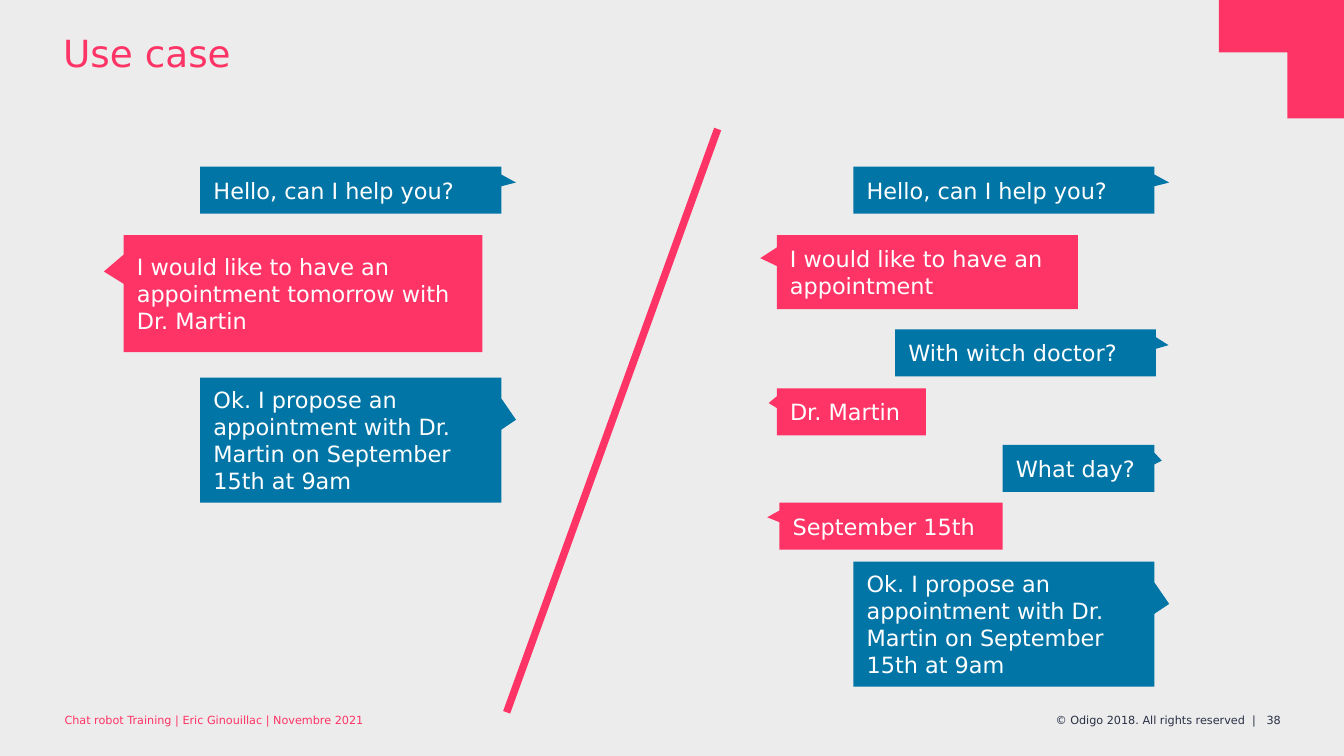
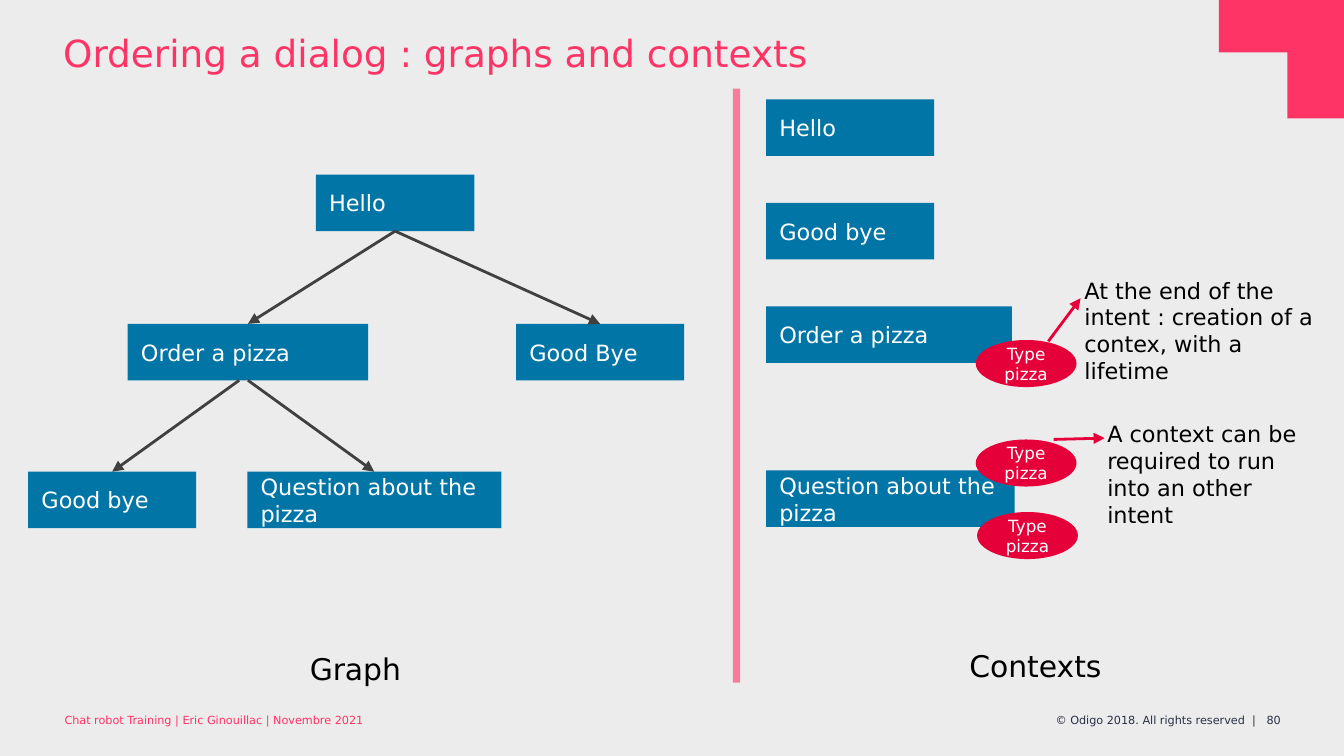
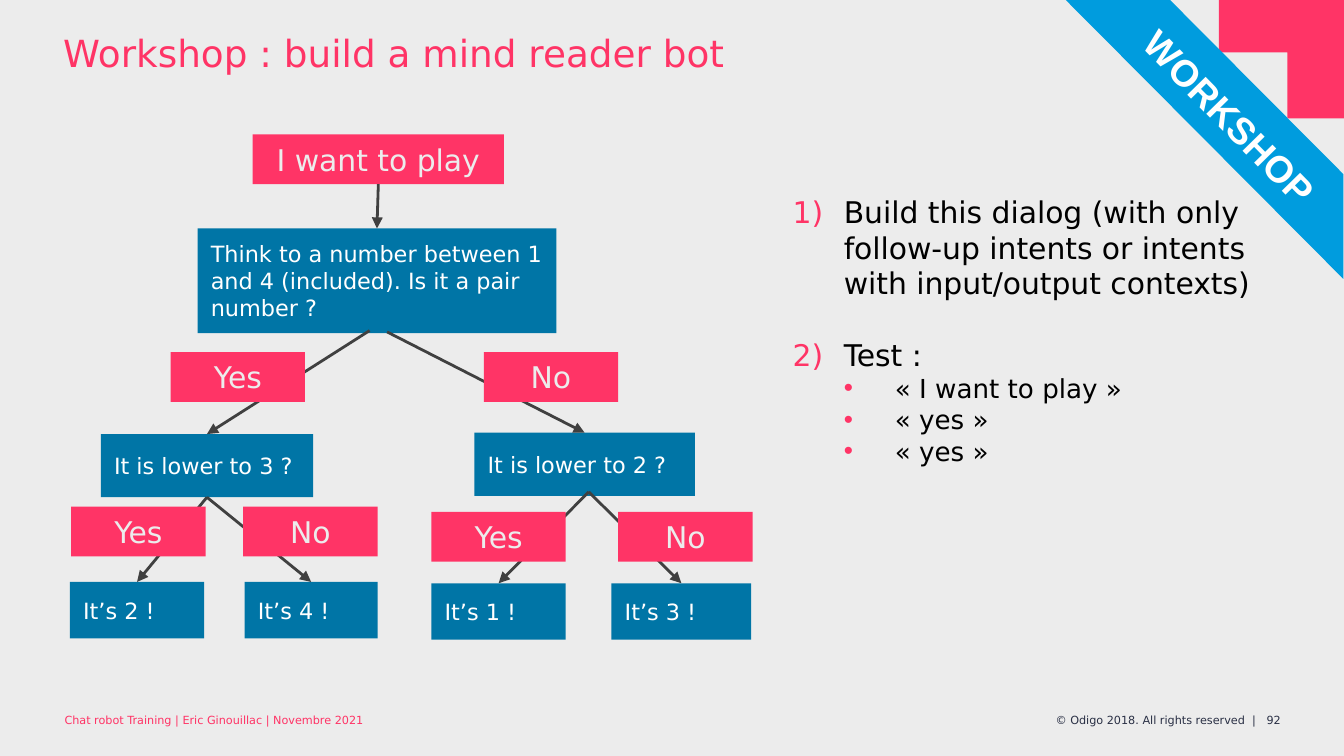
from lxml import etree
from pptx import Presentation
from pptx.dml.color import RGBColor
from pptx.enum.shapes import MSO_CONNECTOR, MSO_SHAPE
from pptx.enum.text import MSO_ANCHOR, MSO_AUTO_SIZE, PP_ALIGN
from pptx.oxml.ns import qn
from pptx.util import Inches, Pt

RECTANGLE = MSO_SHAPE.RECTANGLE
ELLIPSE = MSO_SHAPE.OVAL
CALLOUT = MSO_SHAPE.RECTANGULAR_CALLOUT
STRIPE = MSO_SHAPE.DIAGONAL_STRIPE
STRAIGHT = MSO_CONNECTOR.STRAIGHT
LEFT, CENTER, RIGHT = PP_ALIGN.LEFT, PP_ALIGN.CENTER, PP_ALIGN.RIGHT
TOP, MIDDLE, BOTTOM = MSO_ANCHOR.TOP, MSO_ANCHOR.MIDDLE, MSO_ANCHOR.BOTTOM
GROW, FIXED = MSO_AUTO_SIZE.SHAPE_TO_FIT_TEXT, MSO_AUTO_SIZE.NONE
TOP_SITE, BOTTOM_SITE = 0, 2

PINK, BLUE, RED, SKY = "FF3466", "0075A6", "E60039", "009CDE"
GREY, WHITE, BLACK, DARK, NAVY = "ECECEC", "FFFFFF", "000000", "404040", "2A3045"
FONT = "DejaVu Sans"
COLUMNS = 100
INSETS = (1, 0.5, 1, 0.5)
SPEAKERS = {"bot": (BLUE, 0.549, -0.162), "user": (PINK, -0.555, -0.189)}
CORNER = [(90.7, 0), (90.7, 3.9), (95.8, 3.9), (95.8, 8.8), (100, 8.8), (100, 0)]


def rgb(color):
    return RGBColor.from_string(color)


def add_element(parent, tag, **attributes):
    return etree.SubElement(parent, qn(tag), attributes)


class Deck:
    def __init__(self):
        self.presentation = Presentation()
        self.presentation.slide_width = Inches(10)
        self.presentation.slide_height = Inches(10) * 9 // 16
        self.cell = self.presentation.slide_width // COLUMNS
        self.slide = None

    def grid(self, *lengths):
        return [round(length * self.cell) for length in lengths]

    def new_slide(self, title, number):
        self.slide = self.presentation.slides.add_slide(self.presentation.slide_layouts[6])
        fill = self.slide.background.fill
        fill.solid()
        fill.fore_color.rgb = rgb(GREY)
        self.text("Chat robot Training | Eric Ginouillac | Novembre 2021", (0.1, 51.7, 37.9, 4.4),
                  6, PINK, anchor=BOTTOM, insets=(4.7, 0, 0, 2))
        rights = self.text("", (76.3, 51.7, 23.7, 4.4), 6, NAVY, anchor=BOTTOM, insets=(0, 0, 4.7, 2))
        paragraph = rights.text_frame.paragraphs[0]
        tabs = add_element(paragraph._p.get_or_add_pPr(), "a:tabLst")
        add_element(tabs, "a:tab", pos=str(Inches(1.57)), algn="l")
        paragraph.alignment = RIGHT
        self.run(paragraph, f"© Odigo 2018. All rights reserved  |\t{number}", 6, NAVY)
        self.corner()
        heading = self.text(title, (0, 0.6, 76.3, 8.8), 20, PINK, insets=(4.7, 2, 0.4, 0))
        heading.text_frame.paragraphs[0].line_spacing = 0.9

    def corner(self):
        points = [self.grid(*point) for point in CORNER]
        builder = self.slide.shapes.build_freeform(*points[0], scale=1.0)
        builder.add_line_segments(points[1:], close=True)
        self.paint(builder.convert_to_shape(), PINK)

    def paint(self, shape, color):
        shape.shadow.inherit = False
        shape.fill.solid()
        shape.fill.fore_color.rgb = rgb(color)
        shape.line.fill.background()

    def run(self, paragraph, text, size, color, font=FONT, bold=False):
        run = paragraph.add_run()
        run.text = text
        run.font.size = Pt(size)
        run.font.name = font
        run.font.bold = bold
        run.font.color.rgb = rgb(color)

    def frame(self, shape, anchor, insets, auto_size=FIXED):
        frame = shape.text_frame
        frame.word_wrap = True
        frame.auto_size = auto_size
        frame.vertical_anchor = anchor
        (frame.margin_left, frame.margin_top,
         frame.margin_right, frame.margin_bottom) = self.grid(*insets)
        return frame

    def text(self, text, place, size, color=BLACK, align=LEFT, anchor=TOP, insets=INSETS,
             auto_size=FIXED, font=FONT, bold=False):
        box = self.slide.shapes.add_textbox(*self.grid(*place))
        paragraph = self.frame(box, anchor, insets, auto_size).paragraphs[0]
        paragraph.alignment = align
        if text:
            self.run(paragraph, text, size, color, font, bold)
        return box

    def box(self, text, place, color=BLUE, size=12, ink=WHITE, align=LEFT, kind=RECTANGLE):
        shape = self.slide.shapes.add_shape(kind, *self.grid(*place))
        self.paint(shape, color)
        paragraph = self.frame(shape, MIDDLE, INSETS).paragraphs[0]
        paragraph.alignment = align
        if text:
            self.run(paragraph, text, size, ink)
        return shape

    def bubble(self, speaker, text, place):
        color, *tail = SPEAKERS[speaker]
        shape = self.box(text, place, color, kind=CALLOUT)
        shape.adjustments[0], shape.adjustments[1] = tail

    def label(self, text, left, top, width=10):
        return self.box(text, (left, top, width, 3.7), PINK, 16, GREY, CENTER)

    def line(self, start, end, color, width=1.5, arrow=False, alpha=None):
        connector = self.slide.shapes.add_connector(STRAIGHT, *self.grid(*start, *end))
        connector.line.color.rgb = rgb(color)
        connector.line.width = Pt(width)
        properties = connector._element.spPr
        if alpha:
            color_element = next(properties.iter(qn("a:srgbClr")))
            add_element(color_element, "a:alpha", val=str(alpha * 1000))
        if arrow:
            add_element(connector.line._get_or_add_ln(), "a:tailEnd", type="triangle")
        add_element(properties, "a:effectLst")
        return connector

    def branch(self, parent, child, start=None):
        connector = self.line(start or (0, 0), (0, 0), DARK, arrow=True)
        if start is None:
            connector.begin_connect(parent, BOTTOM_SITE)
        connector.end_connect(child, TOP_SITE)

    def steps(self, items, place):
        frame = self.text("", place, 16, auto_size=GROW).text_frame
        for index, (level, text, gap) in enumerate(items):
            paragraph = frame.add_paragraph() if index else frame.paragraphs[0]
            properties = paragraph._p.get_or_add_pPr()
            properties.set("marL", str(Inches(0.38) * (level + 1)))
            properties.set("indent", str(-Inches(0.38)))
            add_element(add_element(properties, "a:buClr"), "a:srgbClr", val=PINK)
            if level:
                add_element(properties, "a:buFont", typeface="Arial")
                add_element(properties, "a:buChar", char="•")
            else:
                add_element(properties, "a:buFont", typeface="+mj-lt")
                number = 1 + sum(1 for item in items[:index] if item[0] == 0)
                add_element(properties, "a:buAutoNum", type="arabicParenR", startAt=str(number))
            paragraph.level = level
            if gap:
                paragraph.space_before = Pt(gap)
            self.run(paragraph, text, 14 if level else 16, BLACK)


def use_case(deck):
    deck.new_slide("Use case", 38)
    greeting = "Hello, can I help you?"
    proposal = "Ok. I propose an appointment with Dr. Martin on September 15th at 9am"
    request = "I would like to have an appointment"
    for speaker, text, place in [
        ("bot", greeting, (14.9, 12.4, 22.4, 3.5)),
        ("user", f"{request} tomorrow with Dr. Martin", (9.2, 17.5, 26.7, 8.7)),
        ("bot", proposal, (14.9, 28.1, 22.4, 9.3)),
        ("bot", greeting, (63.5, 12.4, 22.4, 3.5)),
        ("user", request, (57.8, 17.5, 22.4, 5.5)),
        ("bot", "With witch doctor?", (66.6, 24.5, 19.4, 3.5)),
        ("user", "Dr. Martin", (57.8, 28.9, 11.1, 3.5)),
        ("bot", "What day?", (74.6, 33.1, 11.3, 3.5)),
        ("user", "September 15th", (58, 37.4, 16.6, 3.5)),
        ("bot", proposal, (63.5, 41.8, 22.4, 9.3)),
    ]:
        deck.bubble(speaker, text, place)
    deck.line((53.4, 9.6), (37.7, 53), PINK, 4)


def graphs_and_contexts(deck):
    deck.new_slide("Ordering a dialog : graphs and contexts", 80)
    height = 4.2
    hello = deck.box("Hello", (23.5, 13, 11.8, height))
    order = deck.box("Order a pizza", (9.5, 24.1, 17.9, height))
    question = deck.box("Question about the pizza", (18.4, 35.1, 18.9, height))
    order_end = deck.box("Good bye", (2.1, 35.1, 12.5, height))
    hello_end = deck.box("Good Bye", (38.4, 24.1, 12.5, height))
    deck.branch(hello, order)
    deck.branch(order, order_end, start=(17.8, 28.3))
    deck.branch(hello, hello_end)
    deck.branch(order, question)

    for text, top, width in [("Hello", 7.4, 12.5), ("Good bye", 15.1, 12.5),
                             ("Order a pizza", 22.8, 18.3), ("Question about the pizza", 35, 18.5)]:
        deck.box(text, (57, top, width, height))
    for left, top in [(72.6, 25.3), (72.6, 32.7), (72.7, 38.1)]:
        deck.box("Type pizza", (left, top, 7.5, 3.5), RED, 9, align=CENTER, kind=ELLIPSE)

    for text, place in [("Graph", (2.1, 47.9, 48.7, 3.7)), ("Contexts", (54.8, 47.7, 44.5, 3.7))]:
        deck.text(text, place, 16, align=CENTER, auto_size=GROW)
    for text, place in [
        ("At the end of the intent : creation of a contex, with a lifetime", (79.7, 20.1, 19.8, 9.1)),
        ("A context can be required to run into an other intent", (81.4, 30.8, 17.1, 9.1)),
    ]:
        deck.text(text, place, 12, auto_size=GROW)
    deck.line((78, 25.4), (80.4, 22.2), RED, arrow=True)
    deck.line((78.4, 32.7), (82.2, 32.6), RED, arrow=True)
    deck.line((54.8, 6.6), (54.8, 50.8), PINK, 4, alpha=60)


def mind_reader(deck):
    deck.new_slide("Workshop : build a mind reader bot", 92)
    think = deck.box("Think to a number between 1 and 4 (included). Is it a pair number ?",
                     (14.7, 17, 26.7, 7.8))
    below_three = deck.box("It is lower to 3 ?", (7.5, 32.3, 15.8, 4.7))
    below_two = deck.box("It is lower to 2 ?", (35.3, 32.2, 16.4, 4.7))
    two, four, one, three = [
        deck.box(f"It’s {number} !", (left, top, width, 4.2))
        for number, left, top, width in [(2, 5.2, 43.3, 10), (4, 18.2, 43.3, 9.9),
                                         (1, 32.1, 43.4, 10), (3, 45.5, 43.4, 10.4)]
    ]
    deck.branch(think, below_three, start=(27.5, 24.6))
    deck.branch(think, below_two, start=(28.8, 24.7))
    for answer in (two, four):
        deck.branch(below_three, answer)
    for answer in (one, three):
        deck.branch(below_two, answer, start=(43.8, 36.6))
    for yes, no, top in [(12.7, 36, 26.2), (5.3, 18.1, 37.7), (32.1, 46, 38.1)]:
        deck.label("Yes", yes, top)
        deck.label("No", no, top)
    play = deck.label("I want to play", 18.8, 10, 18.7)
    deck.branch(play, think)

    deck.steps([
        (0, "Build this dialog (with only follow-up intents or intents with input/output contexts)", 0),
        (0, "Test :", 19),
        (1, "« I want to play »", 0),
        (1, "« yes »", 0),
        (1, "« yes »", 0),
    ], (58, 13.9, 37, 24.2))

    stripe = deck.box("", (79.1, -0.1, 20.9, 20.8), SKY, kind=STRIPE)
    stripe.adjustments[0] = 0.627
    stripe.rotation = 90
    banner = deck.text("WORKSHOP", (82.5, 5.7, 18.7, 5.3), 20, WHITE, CENTER,
                       insets=(0.8,) * 4, auto_size=GROW, font="Arial", bold=True)
    banner.rotation = 45.6
    paragraph = banner.text_frame.paragraphs[0]
    paragraph.line_spacing = 1.2
    paragraph.space_after = Pt(6)


def main():
    deck = Deck()
    use_case(deck)
    graphs_and_contexts(deck)
    mind_reader(deck)
    deck.presentation.save("out.pptx")


if __name__ == "__main__":
    main()
